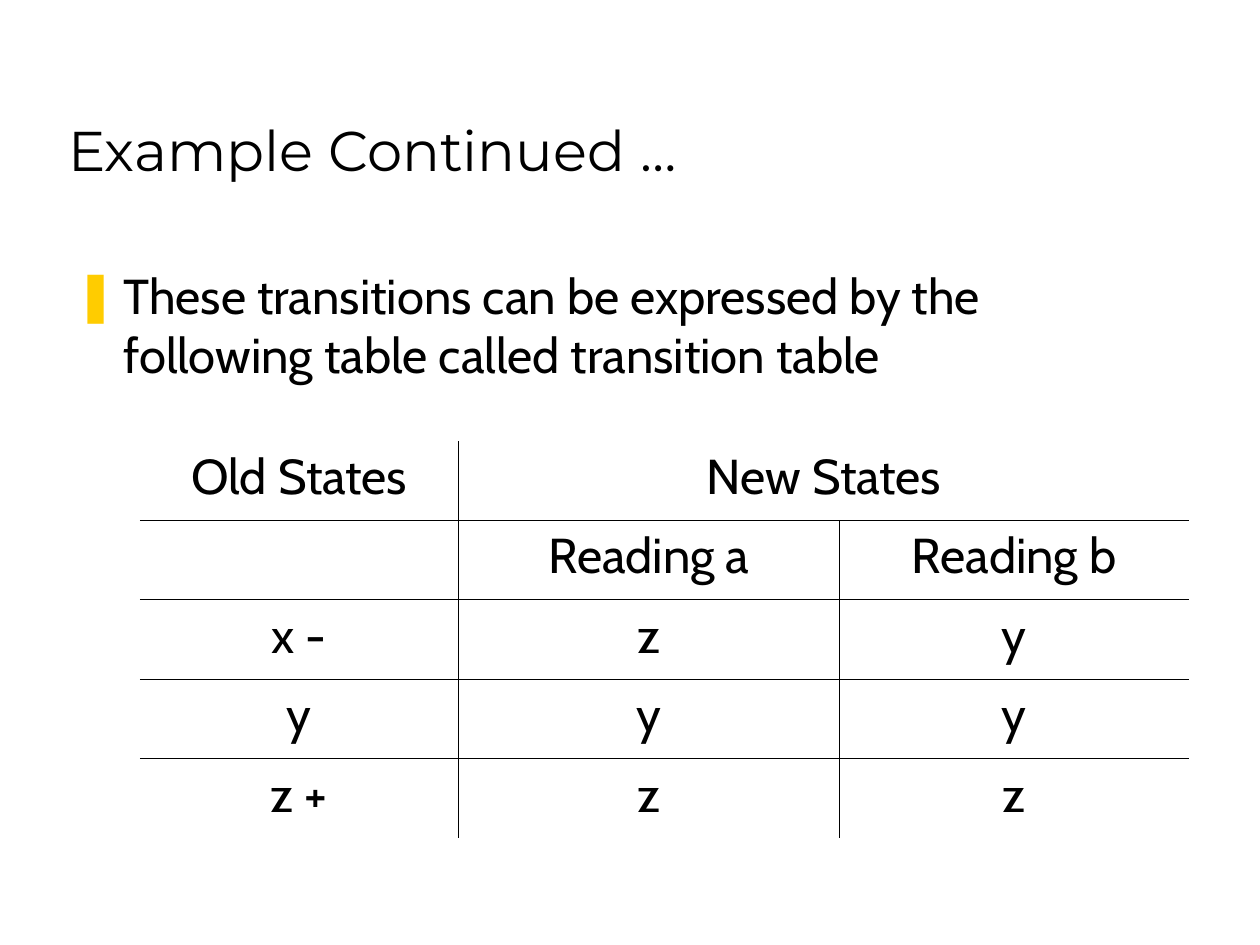
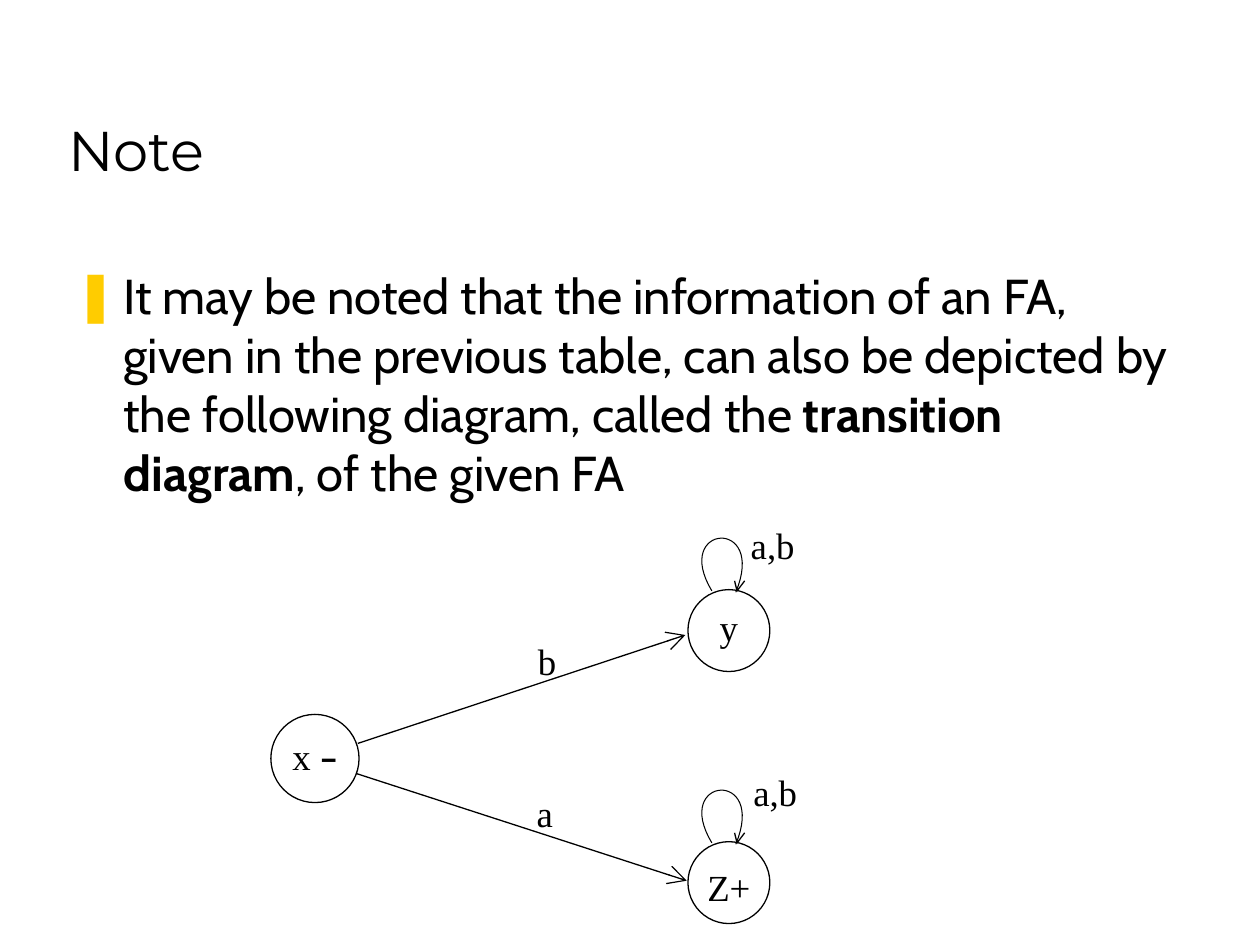
from dataclasses import dataclass
from typing import Any, NamedTuple

from lxml.etree import SubElement
from pptx import Presentation
from pptx.dml.color import RGBColor
from pptx.enum.shapes import MSO_CONNECTOR as Connector, MSO_SHAPE as Preset
from pptx.enum.text import MSO_ANCHOR as Anchor, MSO_AUTO_SIZE as AutoSize, PP_ALIGN as Align
from pptx.oxml.ns import qn
from pptx.util import Emu, Inches, Pt


@dataclass(frozen=True)
class Theme:
    ink: str = "000000"
    paper: str = "FFFFFF"
    accent: str = "FFCC00"
    title_font: str = "Montserrat"
    body_font: str = "Cabin"
    diagram_font: str = "Times New Roman"
    title_size: float = 32
    body_size: float = 28
    label_size: float = 21
    sign_size: float = 20
    rule: float = 0.45
    loop: float = 0.6
    edge: float = 0.75


THEME = Theme()
NO_GRID_STYLE = "{2D5ABB26-0587-4C30-8999-92F81FD0307C}"
BULLET_INDENT = Inches(0.38)


class Run(NamedTuple):
    text: str
    font: str = THEME.body_font
    size: float = THEME.body_size
    bold: bool = False


class Point(NamedTuple):
    x: float
    y: float


class State(NamedTuple):
    runs: list[Run]
    left: float
    top: float
    diameter: float
    drop: float  # how far the text sits below the middle


class Edge(NamedTuple):
    start: Point
    end: Point


class Label(NamedTuple):
    text: str
    left: float
    top: float


def label_run(text: str) -> Run:
    return Run(text, THEME.diagram_font, THEME.label_size)


TRANSITIONS = [
    ["Old States", "New States", ""],
    ["", "Reading a", "Reading b"],
    ["x -", "z", "y"],
    ["y", "y", "y"],
    ["z +", "z", "z"],
]
COLUMN_WIDTHS = [2.53, 3.02, 2.78]
ROW_HEIGHT = 0.63

STATES = [
    State([label_run("x "), Run("–", size=THEME.sign_size, bold=True)], 2.15, 5.67, 0.7, -0.02),
    State([label_run("y")], 5.46, 4.68, 0.65, -0.03),
    State([label_run("Z+")], 5.46, 6.68, 0.65, 0.03),
]
EDGES = [
    Edge(Point(2.84, 5.9), Point(5.44, 5.04)),
    Edge(Point(2.83, 6.14), Point(5.45, 6.99)),
]
LABELS = [
    Label("b", 4.17, 5.02),
    Label("a", 4.16, 6.23),
    Label("a,b", 5.86, 4.1),
    Label("a,b", 5.88, 6.06),
]
LOOP_CURVE = [Point(5.65, 4.69), Point(5.33, 4.16), Point(6.09, 4.1), Point(5.84, 4.7)]
LOOP_HEAD = [Point(5.83, 4.61), Point(5.85, 4.69), Point(5.91, 4.61)]
LOOP_DROPS = [0, 2.0]


def rgb(colour: str) -> RGBColor:
    return RGBColor.from_string(colour)


def set_values(target: Any, values: dict[str, Any]) -> None:
    for name, value in values.items():
        setattr(target, name, value)


def write(paragraph: Any, runs: list[Run]) -> None:
    for part in runs:
        run = paragraph.add_run()
        run.text = part.text
        set_values(run.font, {"name": part.font, "size": Pt(part.size), "bold": part.bold})
        run.font.color.rgb = rgb(THEME.ink)


def place(shape: Any, left: float, top: float, width: float, height: float) -> None:
    set_values(shape, {"left": Inches(left), "top": Inches(top),
                       "width": Inches(width), "height": Inches(height)})


def add_bullet(paragraph: Any) -> None:
    properties = paragraph._p.get_or_add_pPr()
    properties.set("marL", str(BULLET_INDENT))
    properties.set("indent", str(-BULLET_INDENT))
    colour = SubElement(properties, qn("a:buClr"))
    SubElement(colour, qn("a:srgbClr"), val=THEME.accent)
    SubElement(properties, qn("a:buChar"), char="❚")


def add_content_slide(deck: Any, heading: str, statement: list[Run], body_width: float) -> Any:
    """Add a slide with the shared title and one bulleted statement."""
    slide = deck.slides.add_slide(deck.slide_layouts[1])
    title, body = slide.placeholders
    place(title, 0.44, 0.25, 8.5, 1.25)
    place(body, 0.5, 2.06, body_width, 4.56)
    for holder, anchor in ((title, Anchor.BOTTOM), (body, Anchor.TOP)):
        set_values(holder.text_frame, {"word_wrap": True, "auto_size": AutoSize.NONE,
                                       "vertical_anchor": anchor})
        set_values(holder.text_frame.paragraphs[0],
                   {"alignment": Align.LEFT, "space_before": Pt(0)})
    write(title.text_frame.paragraphs[0], [Run(heading, THEME.title_font, THEME.title_size)])
    bullet = body.text_frame.paragraphs[0]
    add_bullet(bullet)
    write(bullet, statement)
    return slide


def set_borders(cell: Any, sides: dict[str, bool]) -> None:
    properties = cell._tc.get_or_add_tcPr()
    for side, ruled in sides.items():
        line = SubElement(properties, qn(f"a:ln{side}"), w=str(Pt(THEME.rule)))
        if ruled:
            fill = SubElement(line, qn("a:solidFill"))
            SubElement(fill, qn("a:srgbClr"), val=THEME.ink)
        else:
            SubElement(line, qn("a:noFill"))


def add_transition_table(slide: Any) -> None:
    """Add the table with inner rules only; the top row has one rule after its first cell."""
    last_row, last_column = len(TRANSITIONS) - 1, len(COLUMN_WIDTHS) - 1
    table = slide.shapes.add_table(
        last_row + 1, last_column + 1, Inches(1.11), Inches(3.5),
        Inches(sum(COLUMN_WIDTHS)), Inches(ROW_HEIGHT * len(TRANSITIONS))).table
    set_values(table, {"first_row": False, "horz_banding": False})
    table._tbl.tblPr.find(qn("a:tableStyleId")).text = NO_GRID_STYLE
    for column, width in zip(table.columns, COLUMN_WIDTHS):
        column.width = Inches(width)
    for row in table.rows:
        row.height = Inches(ROW_HEIGHT)
    table.cell(0, 1).merge(table.cell(0, last_column))
    for row, texts in enumerate(TRANSITIONS):
        last_ruled = last_column if row else 1
        for column, text in enumerate(texts):
            cell = table.cell(row, column)
            set_borders(cell, {"L": 0 < column <= last_ruled, "R": column < last_ruled,
                               "T": row > 0, "B": row < last_row})
            cell.fill.background()
            paragraph = cell.text_frame.paragraphs[0]
            paragraph.alignment = Align.CENTER
            if text:
                write(paragraph, [Run(text)])


def style_line(shape: Any, width: float) -> None:
    shape.line.color.rgb = rgb(THEME.ink)
    shape.line.width = Pt(width)


def add_state(slide: Any, state: State) -> None:
    circle = slide.shapes.add_shape(Preset.OVAL, Inches(state.left), Inches(state.top),
                                    Inches(state.diameter), Inches(state.diameter))
    circle.shadow.inherit = False
    circle.fill.solid()
    circle.fill.fore_color.rgb = rgb(THEME.paper)
    style_line(circle, THEME.edge)
    set_values(circle.text_frame, {
        "word_wrap": False, "vertical_anchor": Anchor.MIDDLE, "margin_left": 0, "margin_right": 0,
        "margin_top": Inches(max(0, 2 * state.drop)),
        "margin_bottom": Inches(max(0, -2 * state.drop))})
    paragraph = circle.text_frame.paragraphs[0]
    paragraph.alignment = Align.CENTER
    write(paragraph, state.runs)


def add_edge(slide: Any, edge: Edge) -> None:
    ends = [Inches(value) for point in edge for value in point]
    arrow = slide.shapes.add_connector(Connector.STRAIGHT, *ends)
    style_line(arrow, THEME.edge)
    SubElement(arrow.line._get_or_add_ln(), qn("a:tailEnd"), type="arrow", w="lg", len="lg")
    SubElement(arrow._element.spPr, qn("a:effectLst"))


def add_label(slide: Any, label: Label) -> None:
    box = slide.shapes.add_textbox(Inches(label.left), Inches(label.top),
                                   Inches(0.98), Inches(0.68))
    box.text_frame.word_wrap = True
    write(box.text_frame.paragraphs[0], [label_run(label.text)])


def bezier(controls: list[Point], steps: int = 32) -> list[Point]:
    """Return points along the cubic curve."""
    points = []
    for step in range(steps + 1):
        t = step / steps
        weights = ((1 - t) ** 3, 3 * t * (1 - t) ** 2, 3 * t ** 2 * (1 - t), t ** 3)
        points.append(Point(sum(w * p.x for w, p in zip(weights, controls)),
                            sum(w * p.y for w, p in zip(weights, controls))))
    return points


def add_outline(slide: Any, points: list[Point], drop: float, width: float) -> None:
    """Draw an open line through the points, moved down by drop."""
    start, *others = [(Inches(point.x), Inches(point.y + drop)) for point in points]
    builder = slide.shapes.build_freeform(*start, scale=1.0)
    builder.add_line_segments(others, close=False)
    outline = builder.convert_to_shape(Emu(0), Emu(0))
    outline.shadow.inherit = False
    outline.fill.background()
    style_line(outline, width)


def add_transition_diagram(slide: Any) -> None:
    for state in STATES:
        add_state(slide, state)
    for edge in EDGES:
        add_edge(slide, edge)
    for drop in LOOP_DROPS:
        add_outline(slide, bezier(LOOP_CURVE), drop, THEME.loop)
        add_outline(slide, LOOP_HEAD, drop, THEME.edge)
    for label in LABELS:
        add_label(slide, label)


def main() -> None:
    deck = Presentation()
    set_values(deck, {"slide_width": Inches(10), "slide_height": Inches(7.5)})
    add_transition_table(add_content_slide(deck, "Example Continued …", [
        Run("These transitions can be expressed by the following table called transition table"),
    ], 8.5))
    add_transition_diagram(add_content_slide(deck, "Note", [
        Run("It may be noted that the information of an FA, given in the previous table, "
            "can also be depicted by the following diagram, called the "),
        Run("transition diagram", bold=True),
        Run(", of the given FA"),
    ], 8.94))
    deck.save("out.pptx")


if __name__ == "__main__":
    main()
